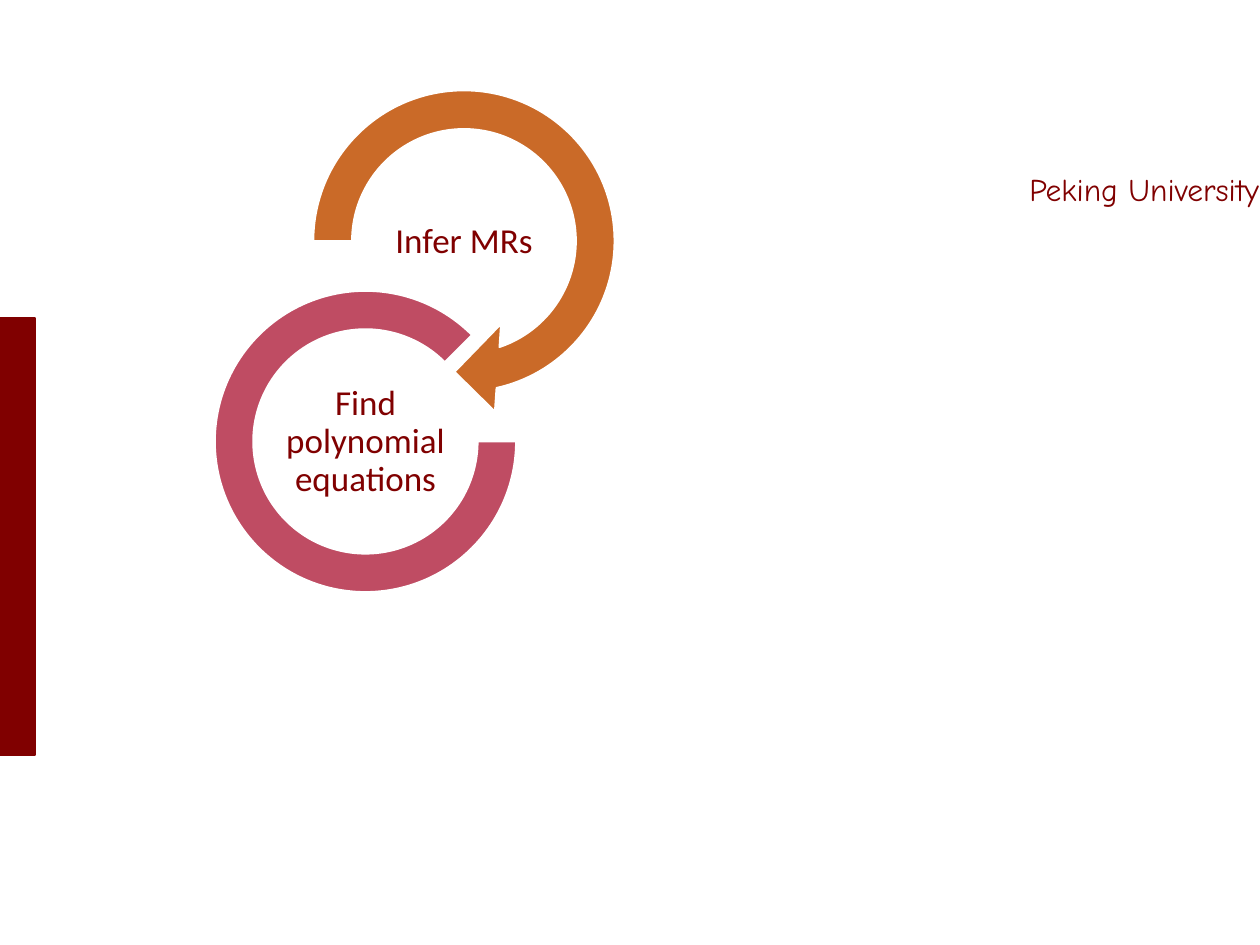
import pptx
import pptx.util
import pptx.dml.color
import pptx.enum.shapes
import pptx.enum.text
import pptx.oxml
import pptx.oxml.ns

SHAPE = pptx.enum.shapes.MSO_SHAPE
THEME = {
    "maroon": "800000", "orange": "C55A11", "crimson": "A50021", "white": "FFFFFF",
    "body_font": "Calibri", "label_font": "Comic Neue",
    "body_size": 20, "label_size": 18,
}


def px(n):
    return pptx.util.Emu(round(n * 914400 / 126))


def color(name):
    return pptx.dml.color.RGBColor.from_string(THEME[name])


def add_shape(shapes, kind, box, fill, line, width, alpha=None, adjustments=()):
    sp = shapes.add_shape(kind, *map(px, box))
    sp.shadow.inherit = False
    for i, value in enumerate(adjustments):
        sp.adjustments[i] = value
    sp.fill.solid()
    sp.fill.fore_color.rgb = color(fill)
    if alpha:
        clr = sp.fill._xPr.find(".//" + pptx.oxml.ns.qn("a:srgbClr"))
        clr.append(pptx.oxml.parse_xml(
            f'<a:alpha {pptx.oxml.ns.nsdecls("a")} val="{alpha * 1000}"/>'))
    sp.line.color.rgb = color(line)
    sp.line.width = pptx.util.Pt(width)


def add_text(shapes, box, text, style, frame=None, paragraph=None):
    tf = shapes.add_textbox(*map(px, box)).text_frame
    p = tf.paragraphs[0]
    r = p.add_run()
    r.text = text
    font = {"name": THEME[style + "_font"], "size": pptx.util.Pt(THEME[style + "_size"])}
    for target, values in ((tf, {"word_wrap": True, **(frame or {})}),
                           (p, paragraph or {}), (r.font, font)):
        for key, value in values.items():
            setattr(target, key, value)
    r.font.color.rgb = color("maroon")


def add_side_bar(s, box):
    add_shape(s.shapes, SHAPE.RECTANGLE, box, "maroon", "maroon", 1.5)


def add_university(s, box):
    add_text(s.shapes, box, "Peking University", "label")


def add_step(shapes, box, kind, adjustments, fill, alpha, text):
    """A ring with its caption centred inside."""
    x, y, w, h = box
    add_shape(shapes, kind, box, fill, "white", 1, alpha, adjustments)
    text_w, text_h = 195, 98
    caption = (x + (w - text_w) / 2, y + (h - text_h) / 2 + 1, text_w, text_h)
    margins = {f"margin_{side}": px(1) for side in ("left", "top", "right", "bottom")}
    add_text(shapes, caption, text, "body",
             {"vertical_anchor": pptx.enum.text.MSO_ANCHOR.MIDDLE, **margins},
             {"alignment": pptx.enum.text.PP_ALIGN.CENTER, "line_spacing": 0.9})


def add_cycle(s, box):
    x, y = box[:2]
    shapes = s.shapes.add_group_shape().shapes
    # Upper step: arrow leading into the lower ring
    add_step(shapes, (x + 74, y, 350, 350), SHAPE.CIRCULAR_ARROW,
             (0.11, 11.42, 45, 108, 0.125), "orange", 90, "Infer MRs")
    # Lower step: open ring
    add_step(shapes, (x, y + 225, 301, 301), SHAPE.BLOCK_ARC,
             (0, 189, 0.127), "crimson", 70, "Find polynomial equations")


def main():
    prs = pptx.Presentation()
    prs.slide_width, prs.slide_height = px(1260), px(945)
    s = prs.slides.add_slide(prs.slide_layouts[6])
    s.background.fill.solid()
    s.background.fill.fore_color.rgb = color("white")

    add_side_bar(s, (0, 318, 35, 437))
    add_university(s, (1017, 164, 331, 50))
    add_cycle(s, (215, 66, 424, 526))
    prs.save("out.pptx")


if __name__ == "__main__":
    main()
